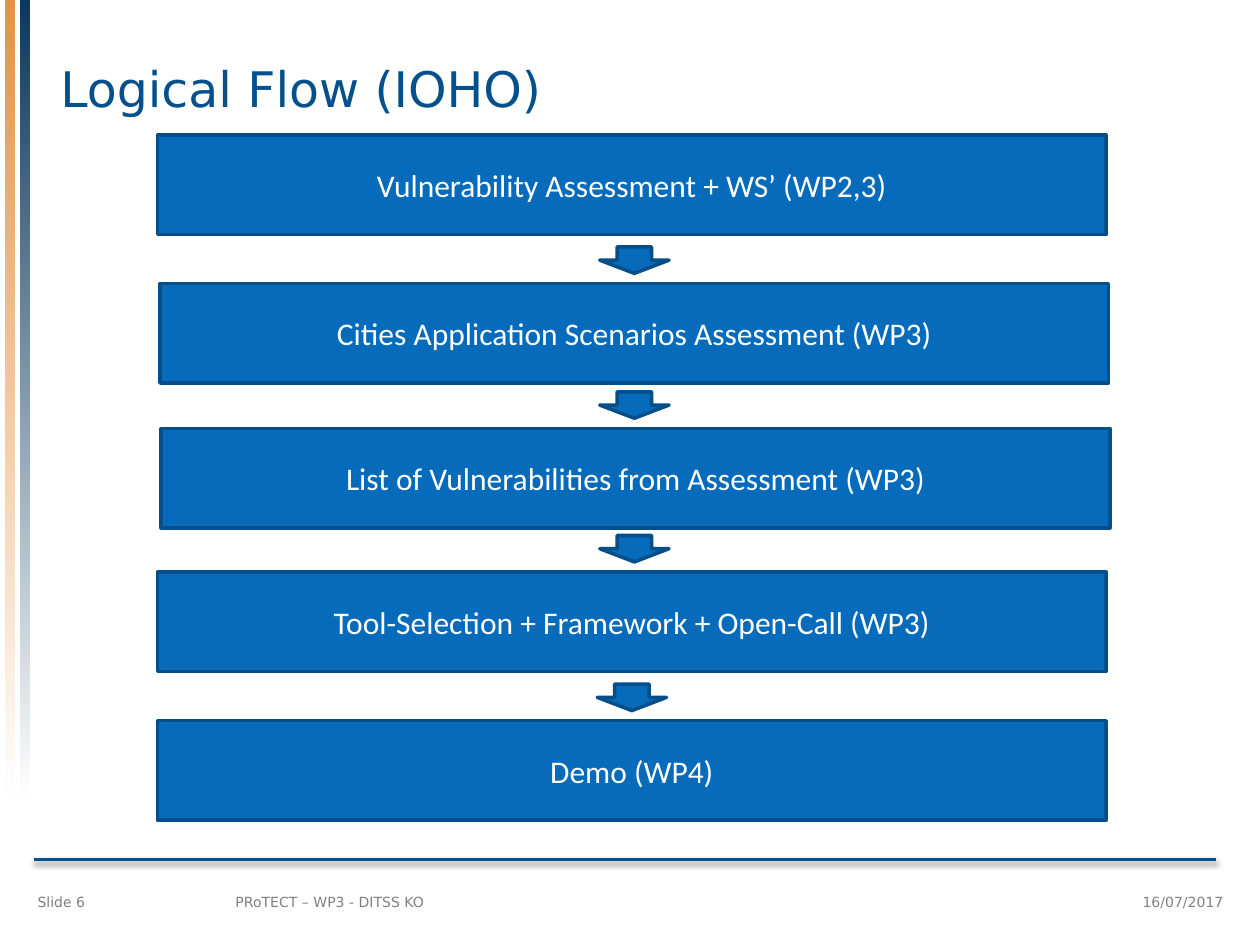
from lxml import etree
from pptx import Presentation
from pptx.dml.color import RGBColor
from pptx.enum.shapes import MSO_CONNECTOR, MSO_SHAPE
from pptx.enum.text import MSO_ANCHOR, PP_ALIGN
from pptx.oxml import parse_xml
from pptx.util import Inches, Pt

RECT, DOWN = MSO_SHAPE.RECTANGLE, MSO_SHAPE.DOWN_ARROW
LEFT, MID, RIGHT = PP_ALIGN.LEFT, PP_ALIGN.CENTER, PP_ALIGN.RIGHT
TOP, CENTER = MSO_ANCHOR.TOP, MSO_ANCHOR.MIDDLE
STRAIGHT = MSO_CONNECTOR.STRAIGHT
COLS, ROWS, CELL = 100, 75, 0.1
HEAD, BODY = "DejaVu Sans", "Calibri"
NAVY, BLUE, EDGE, GREY = "04508C", "056BBA", "044F8A", "808080"
SPACE = "http://schemas.openxmlformats.org/drawingml/2006/main"
SHADOW = (
    f'<a:effectLst xmlns:a="{SPACE}"><a:outerShdw blurRad="39370" '
    'dist="22860" dir="5400000" rotWithShape="0"><a:srgbClr val="000000">'
    '<a:alpha val="35000"/></a:srgbClr></a:outerShdw></a:effectLst>'
)
STEPS = [
    ("Vulnerability Assessment + WS’ (WP2,3)", 0, 0),
    ("Cities Application Scenarios Assessment (WP3)", 0.2, 11.8),
    ("List of Vulnerabilities from Assessment (WP3)", 0.3, 23.3),
    ("Tool-Selection + Framework + Open-Call (WP3)", 0, 34.7),
    ("Demo (WP4)", 0, 46.5),
]
SHIFTS = [35.1, 35.1, 35.1, 34.9]


def color(code):
    return RGBColor.from_string(code)


def grid(*cells):
    return [Inches(cell * CELL) for cell in cells]


def write(shape, text, size=18, font=BODY, tint="FFFFFF", align=MID,
          anchor=CENTER):
    frame = shape.text_frame
    frame.word_wrap = True
    frame.vertical_anchor = anchor
    para = frame.paragraphs[0]
    para.alignment = align
    run = para.add_run()
    run.text = text
    run.font.size, run.font.name = Pt(size), font
    run.font.color.rgb = color(tint)


def block(slide, kind, box):
    shape = slide.shapes.add_shape(kind, *grid(*box))
    shape.shadow.inherit = False
    shape.fill.solid()
    shape.fill.fore_color.rgb = color(BLUE)
    shape.line.color.rgb = color(EDGE)
    shape.line.width = Pt(2)
    return shape


def stripes(slide, box):
    left, top, wide, tall = box
    for place, tint in enumerate(("E49343", "0C385C")):
        mid = left + wide / 2 + place * 1.2
        bar = slide.shapes.add_shape(
            RECT, *grid(mid - tall / 2, top + tall / 2 - wide / 2, tall, wide))
        bar.rotation = 270
        bar.shadow.inherit = False
        bar.line.fill.background()
        bar.fill.gradient()
        bar.fill.gradient_angle = 0
        for stop, code in zip(bar.fill.gradient_stops, ("FFFFFF", tint)):
            stop.color.rgb = color(code)


def heading(slide, box):
    title = slide.shapes.title
    title.left, title.top, title.width, title.height = grid(*box)
    frame = title.text_frame
    frame.margin_left = Inches(0.2)
    frame.margin_top = frame.margin_right = frame.margin_bottom = 0
    write(title, "Logical Flow (IOHO)", 28, HEAD, NAVY, LEFT)


def flow(slide, box):
    left, top, wide, tall = box
    for text, col, row in STEPS:
        step = block(slide, RECT, (left + col, top + row, wide, tall))
        write(step, text)
    for shift, (_, _, row) in zip(SHIFTS, STEPS[1:]):
        block(slide, DOWN, (left + shift, top + row - 2.9, 5.5, 2.1))


def footer(slide, box):
    left, top, wide, tall = box
    rule = slide.shapes.add_connector(
        STRAIGHT, *grid(left + 0.7, top, left + 94.5, top))
    rule.line.color.rgb = color(NAVY)
    rule.line.width = Pt(2)
    props = rule.element.spPr
    etree.strip_elements(props, f"{{{SPACE}}}effectLst")
    props.append(parse_xml(SHADOW))
    parts = [
        ("16/07/2017", wide - 15, 15, RIGHT),
        ("PRoTECT – WP3 - DITSS KO", 15.7, 73.9, LEFT),
        ("Slide 6", 0, 10.6, LEFT),
    ]
    for text, col, span, align in parts:
        note = slide.shapes.add_textbox(
            *grid(left + col, top + 2.2, span, tall - 2.2))
        write(note, text, 8, HEAD, GREY, align, TOP)


def main():
    deck = Presentation()
    deck.slide_width, deck.slide_height = grid(COLS, ROWS)
    slide = deck.slides.add_slide(deck.slide_layouts[5])
    stripes(slide, (0.4, -0.1, 0.8, 63.8))
    heading(slide, (2.8, 3.3, 67.7, 7.4))
    flow(slide, (12.5, 10.7, 75.3, 7.9))
    footer(slide, (2, 68.2, 96.1, 4.8))
    deck.save("out.pptx")


if __name__ == "__main__":
    main()
